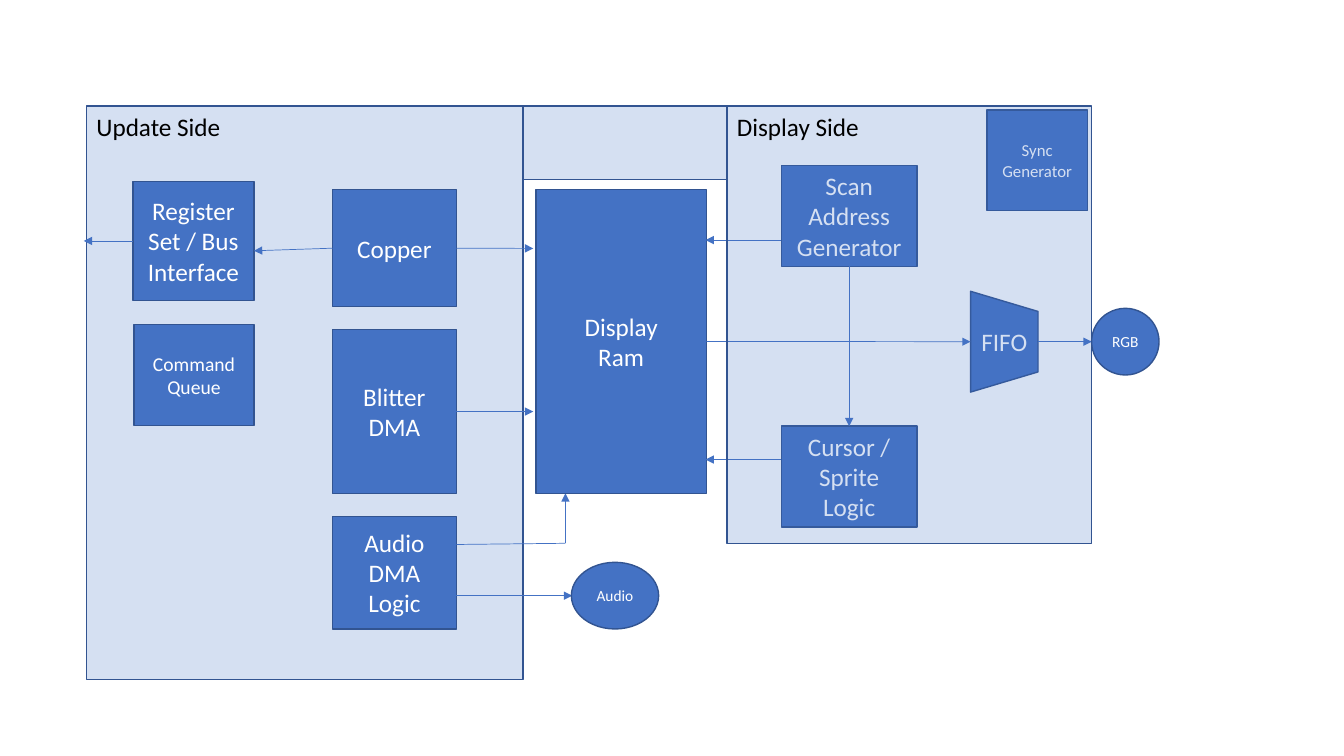
from dataclasses import dataclass
from typing import NamedTuple

from lxml.etree import SubElement
from pptx import Presentation
from pptx.dml.color import RGBColor
from pptx.enum.shapes import MSO_CONNECTOR, MSO_SHAPE
from pptx.enum.text import MSO_ANCHOR, PP_ALIGN
from pptx.oxml.ns import qn
from pptx.util import Cm, Pt


@dataclass(frozen=True)
class Theme:
    font: str = "Calibri"
    blue: RGBColor = RGBColor(0x44, 0x72, 0xC4)
    edge: RGBColor = RGBColor(0x32, 0x54, 0x91)
    white: RGBColor = RGBColor(0xFF, 0xFF, 0xFF)
    black: RGBColor = RGBColor(0, 0, 0)
    tint: int = 22  # panel opacity in percent
    big: int = 18
    mid: int = 14
    small: int = 12
    tiny: int = 11
    border: float = 1
    wire: float = 0.5


class Box(NamedTuple):
    """Place and size in centimetres."""
    x: float
    y: float
    w: float
    h: float


THEME = Theme()
TOP, LEFT, BOTTOM, RIGHT = range(4)


# Shared parts, placed relative to a region's box
def block(slide, box, x, y, w, h, text="", size=THEME.big,
          kind=MSO_SHAPE.RECTANGLE):
    shape = slide.shapes.add_shape(
        kind, Cm(box.x + x), Cm(box.y + y), Cm(w), Cm(h))
    shape.shadow.inherit = False
    shape.fill.solid()
    shape.fill.fore_color.rgb = THEME.blue
    shape.line.color.rgb = THEME.edge
    shape.line.width = Pt(THEME.border)
    frame = shape.text_frame
    frame.word_wrap = True
    frame.vertical_anchor = MSO_ANCHOR.MIDDLE
    frame.text = text
    for para in frame.paragraphs:
        para.alignment = PP_ALIGN.CENTER
        para.font.name = THEME.font
        para.font.size = Pt(size)
        para.font.color.rgb = THEME.white
    return shape


def panel(slide, box, title=""):
    shape = block(slide, box, 0, 0, box.w, box.h, title)
    color = shape.element.spPr.find(qn("a:solidFill"))[0]
    SubElement(color, qn("a:alpha")).set("val", str(THEME.tint * 1000))
    shape.text_frame.vertical_anchor = MSO_ANCHOR.TOP
    para = shape.text_frame.paragraphs[0]
    para.alignment = PP_ALIGN.LEFT
    para.font.color.rgb = THEME.black


def wire(slide, box, start, end, src=None, dst=None, head=True):
    """Draw a line; src and dst are (shape, side) pairs to join."""
    line = slide.shapes.add_connector(
        MSO_CONNECTOR.STRAIGHT,
        Cm(box.x + start[0]), Cm(box.y + start[1]),
        Cm(box.x + end[0]), Cm(box.y + end[1]))
    line.line.color.rgb = THEME.blue
    line.line.width = Pt(THEME.wire)
    if src:
        line.begin_connect(*src)
    if dst:
        line.end_connect(*dst)
    props = line.element.spPr
    if head:
        tail = SubElement(props.find(qn("a:ln")), qn("a:tailEnd"))
        tail.set("type", "triangle")
    SubElement(props, qn("a:effectLst"))


# Left region: bus, queue and the three memory writers
def update(slide, box):
    panel(slide, box, "Update Side")
    bus = block(slide, box, 1.17, 1.9, 3.05, 3, "Register Set / Bus Interface")
    block(slide, box, 1.2, 5.51, 3.02, 2.54, "Command Queue", THEME.mid)

    left, wide, gap, y = 6.2, 3.12, 0.57, 2.11
    right = left + wide
    units = []
    for text, high in (("Copper", 2.95), ("Blitter\nDMA", 4.14),
                       ("Audio DMA Logic", 2.84)):
        units.append(block(slide, box, left, y, wide, high, text))
        y += high + gap
    copper, blitter, _ = units

    # Writers to the memory, and the bus
    wire(slide, box, (right, 3.59), (11.26, 3.59), (copper, RIGHT))
    wire(slide, box, (right, 7.7), (11.26, 7.7), (blitter, RIGHT))
    wire(slide, box, (left, 3.59), (4.22, 3.65), (copper, LEFT))
    wire(slide, box, (1.17, 3.4), (-0.07, 3.4), (bus, LEFT))

    # Audio path: a bend up to the memory, and the output
    bend = (12.07, 11.02)
    wire(slide, box, (right, 11.05), bend, head=False)
    wire(slide, box, bend, (bend[0], 9.76))
    wire(slide, box, (right, 12.34), (12.24, 12.34))
    block(slide, box, 12.22, 11.5, 2.2, 1.68, "Audio", THEME.tiny,
          MSO_SHAPE.OVAL)


# Middle region: bridge and memory
def memory(slide, box):
    panel(slide, box._replace(h=1.86))
    return block(slide, box, 0.33, 2.11, 4.29, box.h - 2.11, "Display\nRam")


# Right region: the tinted panel lies over its parts
def display(slide, box, ram):
    left, wide, side = 1.37, 3.42, 2.54
    mid = left + wide / 2
    scan = block(slide, box, left, 1.5, wide, side, "Scan Address Generator")
    cursor = block(slide, box, left, 8.14 - 0.07, wide, side,
                   "Cursor / Sprite Logic")
    block(slide, box, box.w - side - 0.1, 0.1, side, side,
          "Sync\nGenerator", THEME.small)

    fifo = block(slide, box, 5.72, 5.09, side, 1.7, "FIFO",
                 kind=MSO_SHAPE.FLOWCHART_MANUAL_OPERATION)
    fifo.rotation = 270
    fifo.element.txBody.bodyPr.set("vert", "vert")
    block(slide, box, box.w, 5.1, 1.7, 1.68, "RGB", THEME.tiny, MSO_SHAPE.OVAL)

    # Requests to the memory
    for y in (3.38, 8.91):
        wire(slide, box, (left, y), (-0.54, y))
    wire(slide, box, (mid, 4.04), (mid, 8.07), (scan, BOTTOM), (cursor, TOP))

    # Pixel path
    level = 5.94
    wire(slide, box, (-0.54, level), (6.14, level), (ram, RIGHT))
    wire(slide, box, (7.84, level), (box.w, level))
    panel(slide, box, "Display Side")


def main():
    deck = Presentation()
    deck.slide_width, deck.slide_height = Cm(33.87), Cm(19.05)
    slide = deck.slides.add_slide(deck.slide_layouts[6])
    top = 2.67
    update(slide, Box(2.18, top, 11, 14.45))
    ram = memory(slide, Box(13.18, top, 5.14, 9.76))
    display(slide, Box(18.32, top, 9.19, 11.03), ram)
    deck.save("out.pptx")


if __name__ == "__main__":
    main()
